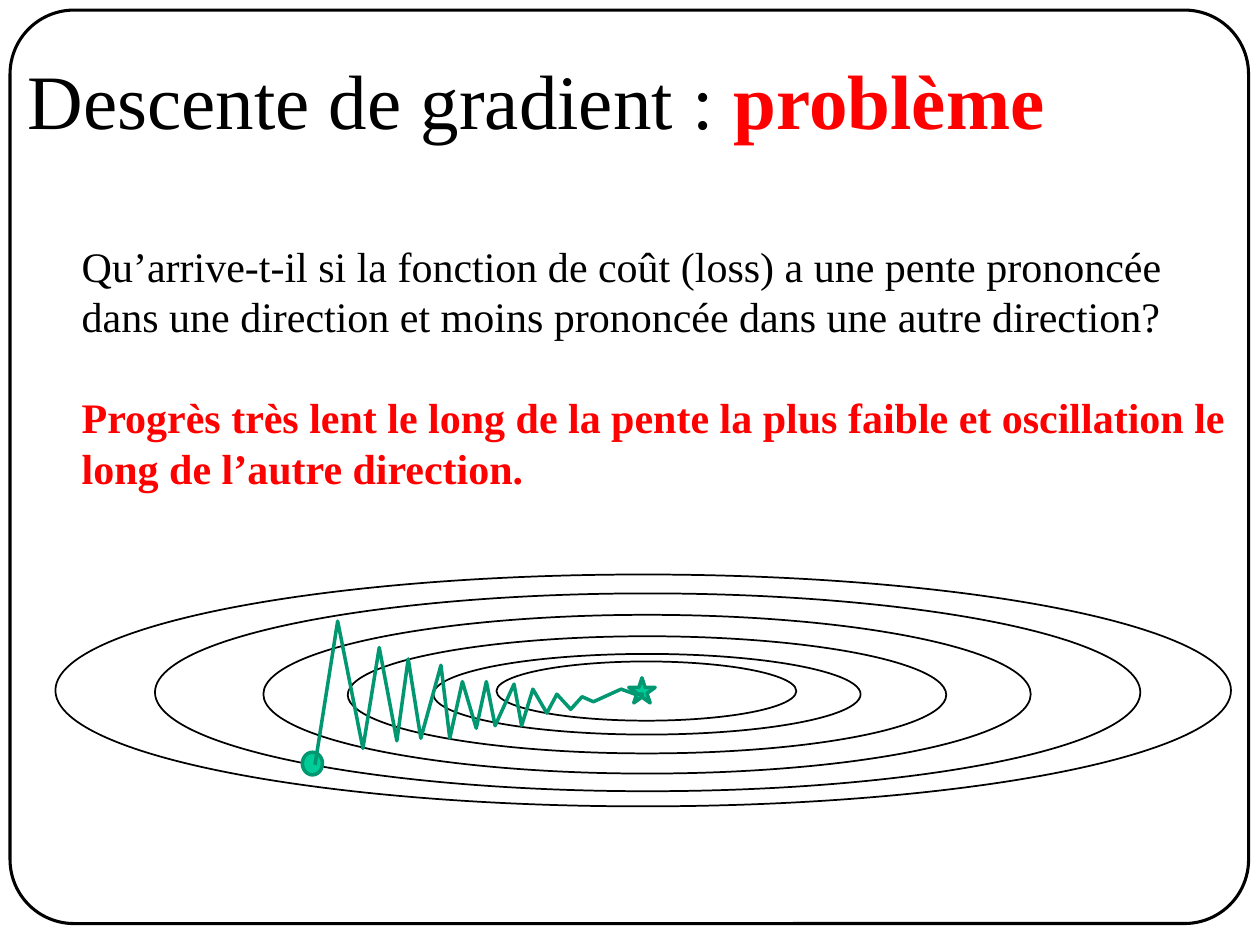
from lxml.etree import SubElement
from pptx import Presentation
from pptx.dml.color import RGBColor
from pptx.enum.shapes import MSO_SHAPE
from pptx.enum.text import MSO_ANCHOR, PP_ALIGN
from pptx.oxml.ns import qn
from pptx.util import Inches, Pt

THEME = {
    "font": "Times New Roman",
    "ink": RGBColor(0x00, 0x00, 0x00),
    "accent": RGBColor(0xFF, 0x00, 0x00),
    "marker": RGBColor(0x00, 0xCC, 0x99),
    "path": RGBColor(0x00, 0x97, 0x71),
    "title_size": Pt(44),
    "body_size": Pt(24),
    "body_pitch": Pt(28.8),
    "frame_line": Pt(1.75),
    "contour_line": Pt(1),
    "path_line": Pt(2),
}

# Each paragraph is a list of (text, emphasised) runs.
TITLE = [[("Descente de gradient : ", False), ("problème", True)]]
BODY = [
    [("Qu’arrive-t-il si la fonction de coût (loss) a une pente prononcée", False)],
    [("dans une direction et moins prononcée dans une autre direction?", False)],
    [("Progrès très lent le long de la pente la plus faible et oscillation le", True)],
    [("long de l’autre direction.", True)],
]
ANSWER_START = 2

CONTOURS = [  # left, top, width, height
    (0.44, 4.56, 9.33, 1.84),
    (1.23, 4.71, 7.82, 1.57),
    (2.09, 4.88, 6.09, 1.26),
    (2.76, 5.05, 4.75, 0.93),
    (3.44, 5.19, 3.39, 0.64),
    (3.94, 5.25, 2.38, 0.47),
]
MINIMUM = (4.99, 5.38, 0.21, 0.2)
START = (2.4, 5.97, 0.16, 0.18)
DESCENT = [
    (2.5, 6.07), (2.68, 4.93), (2.88, 5.94), (3.01, 5.14), (3.15, 5.88), (3.24, 5.23),
    (3.34, 5.86), (3.5, 5.28), (3.57, 5.86), (3.67, 5.41), (3.78, 5.78), (3.86, 5.41),
    (3.93, 5.76), (4.08, 5.43), (4.14, 5.76), (4.23, 5.47), (4.34, 5.66), (4.42, 5.51),
    (4.53, 5.63), (4.62, 5.53), (4.71, 5.57), (4.93, 5.47), (5.04, 5.51), (5.11, 5.51),
]


def style_shape(shape, line_color, line_width, fill=None):
    shape.shadow.inherit = False
    if fill is None:
        shape.fill.background()
    else:
        shape.fill.solid()
        shape.fill.fore_color.rgb = fill
    shape.line.color.rgb = line_color
    shape.line.width = line_width


def add_outline(slide, kind, box, *style):
    shape = slide.shapes.add_shape(kind, *map(Inches, box))
    style_shape(shape, *style)
    return shape


def add_text(slide, box, paragraphs, size, anchor, wrap):
    frame = slide.shapes.add_textbox(*map(Inches, box)).text_frame
    frame.word_wrap = wrap
    frame.vertical_anchor = anchor
    for index, runs in enumerate(paragraphs):
        paragraph = frame.paragraphs[0] if index == 0 else frame.add_paragraph()
        paragraph.alignment = PP_ALIGN.LEFT
        for text, emphasised in runs:
            run = paragraph.add_run()
            run.text = text
            run.font.name = THEME["font"]
            run.font.size = size
            run.font.bold = emphasised
            run.font.color.rgb = THEME["accent" if emphasised else "ink"]
    return frame


def add_descent(slide):
    first, *rest = [(Inches(x), Inches(y)) for x, y in DESCENT]
    builder = slide.shapes.build_freeform(*first)
    builder.add_line_segments(rest, close=False)
    shape = builder.convert_to_shape()
    style_shape(shape, THEME["path"], THEME["path_line"])
    SubElement(shape.line._get_or_add_ln(), qn("a:round"))


def main():
    presentation = Presentation()
    presentation.slide_width, presentation.slide_height = Inches(10), Inches(7.5)
    slide = presentation.slides.add_slide(presentation.slide_layouts[6])

    frame = add_outline(slide, MSO_SHAPE.ROUNDED_RECTANGLE, (0.08, 0.08, 9.83, 7.25),
                        THEME["ink"], THEME["frame_line"])
    frame.adjustments[0] = 0.07

    add_text(slide, (0.12, 0.16, 9.65, 1.25), TITLE, THEME["title_size"],
             MSO_ANCHOR.MIDDLE, True)
    body = add_text(slide, (0.55, 1.86, 9.29, 2.1), BODY, THEME["body_size"],
                    MSO_ANCHOR.TOP, False)
    for paragraph in body.paragraphs:
        paragraph.line_spacing = THEME["body_pitch"]
    body.paragraphs[ANSWER_START].space_before = THEME["body_pitch"]

    for contour in CONTOURS:
        add_outline(slide, MSO_SHAPE.OVAL, contour, THEME["ink"], THEME["contour_line"])
    for kind, box in ((MSO_SHAPE.STAR_5_POINT, MINIMUM), (MSO_SHAPE.OVAL, START)):
        add_outline(slide, kind, box, THEME["path"], THEME["path_line"], THEME["marker"])
    add_descent(slide)

    presentation.save("out.pptx")


if __name__ == "__main__":
    main()
